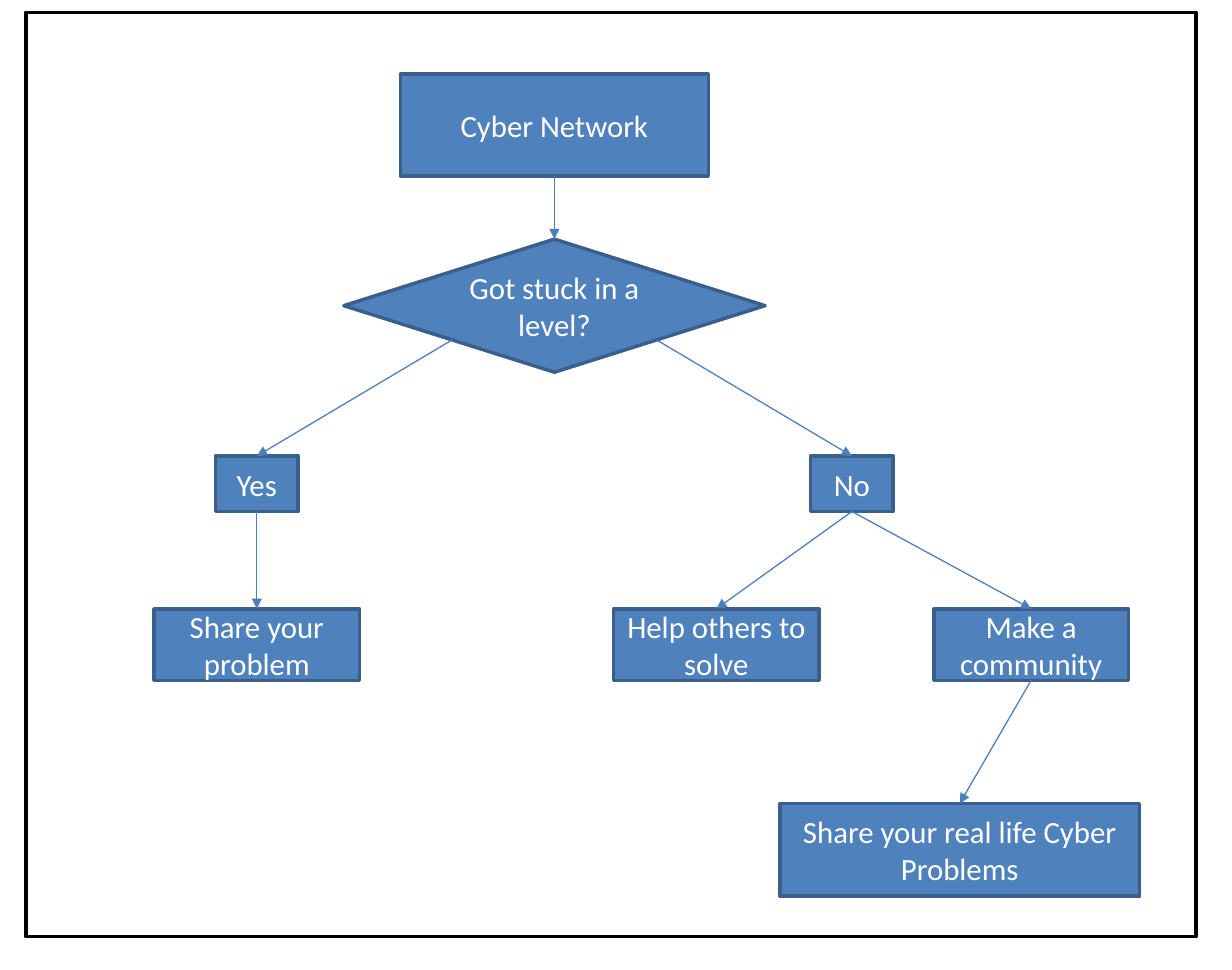
from typing import NamedTuple

from pptx import Presentation
from pptx.dml.color import RGBColor
from pptx.enum import shapes as kinds, text as txt
from pptx.oxml import parse_xml
from pptx.oxml.ns import nsdecls, qn
from pptx.util import Inches, Pt

FILL, EDGE, ARROW, WHITE, BLACK = "4F81BD", "3A5F8C", "4B7EBC", "FFFFFF", "000000"
RECT, DIAMOND = kinds.MSO_SHAPE.RECTANGLE, kinds.MSO_SHAPE.DIAMOND
TOP, BOTTOM = 0, 2


class Node(NamedTuple):
    label: str
    left: float
    top: float
    width: float
    height: float
    kind: kinds.MSO_SHAPE = RECT


class Link(NamedTuple):
    start: str
    end: str
    shift: float = 0  # offset from the centre where a link leaves a diamond's side


NODES = {
    "root": Node("Cyber Network", 3.25, 0.6, 2.5, 0.83),
    "stuck": Node("Got stuck in a level?", 2.79, 1.94, 3.42, 1.08, DIAMOND),
    "yes": Node("Yes", 1.75, 3.7, 0.67, 0.45),
    "no": Node("No", 6.58, 3.7, 0.67, 0.45),
    "share": Node("Share your problem", 1.25, 4.94, 1.67, 0.58),
    "help": Node("Help others to solve", 4.98, 4.94, 1.67, 0.58),
    "group": Node("Make a community", 7.58, 4.94, 1.58, 0.58),
    "real": Node("Share your real life Cyber Problems", 6.33, 6.52, 2.92, 0.75),
}
LINKS = [
    Link("root", "stuck"),
    Link("stuck", "yes", -0.83),
    Link("stuck", "no", 0.83),
    Link("yes", "share"),
    Link("no", "help"),
    Link("no", "group"),
    Link("group", "real"),
]


def paint(target, color: str) -> None:
    """Set a solid colour on a fill."""
    target.solid()
    target.fore_color.rgb = RGBColor.from_string(color)


def add_box(slide, node: Node, edge: str):
    box = slide.shapes.add_shape(
        node.kind, *map(Inches, (node.left, node.top, node.width, node.height)))
    box.shadow.inherit = False
    paint(box.line.fill, edge)
    box.line.width = Pt(2)
    return box


def add_node(slide, node: Node):
    box = add_box(slide, node, EDGE)
    paint(box.fill, FILL)
    frame = box.text_frame
    frame.word_wrap = True
    frame.vertical_anchor = txt.MSO_ANCHOR.MIDDLE
    para = frame.paragraphs[0]
    para.alignment = txt.PP_ALIGN.CENTER
    run = para.add_run()
    run.text = node.label
    run.font.name = "Calibri"
    run.font.size = Pt(18)
    paint(run.font.fill, WHITE)
    return box


def add_link(slide, link: Link, boxes: dict) -> None:
    node = NODES[link.start]
    x = node.left + node.width / 2 + link.shift
    # Along a diamond's lower side, height falls off linearly from the centre.
    drop = 1 - abs(link.shift) / (node.width / 2)
    y = node.top + node.height / 2 * (1 + drop)
    line = slide.shapes.add_connector(
        kinds.MSO_CONNECTOR.STRAIGHT, Inches(x), Inches(y), Inches(x), Inches(y))
    if not link.shift:
        line.begin_connect(boxes[link.start], BOTTOM)
    line.end_connect(boxes[link.end], TOP)
    paint(line.line.fill, ARROW)
    line.line.width = Pt(0.75)
    props = line.element.find(qn("p:spPr"))
    props.find(qn("a:ln")).append(
        parse_xml(f'<a:tailEnd {nsdecls("a")} type="triangle"/>'))
    props.append(parse_xml(f'<a:effectLst {nsdecls("a")}/>'))


def main() -> None:
    deck = Presentation()
    deck.slide_width, deck.slide_height = Inches(10), Inches(7.87)
    slide = deck.slides.add_slide(deck.slide_layouts[6])
    boxes = {key: add_node(slide, node) for key, node in NODES.items()}
    for link in LINKS:
        add_link(slide, link, boxes)
    border = add_box(slide, Node("", 0.21, 0.1, 9.5, 7.5), BLACK)
    border.fill.background()
    deck.save("out.pptx")


if __name__ == "__main__":
    main()
